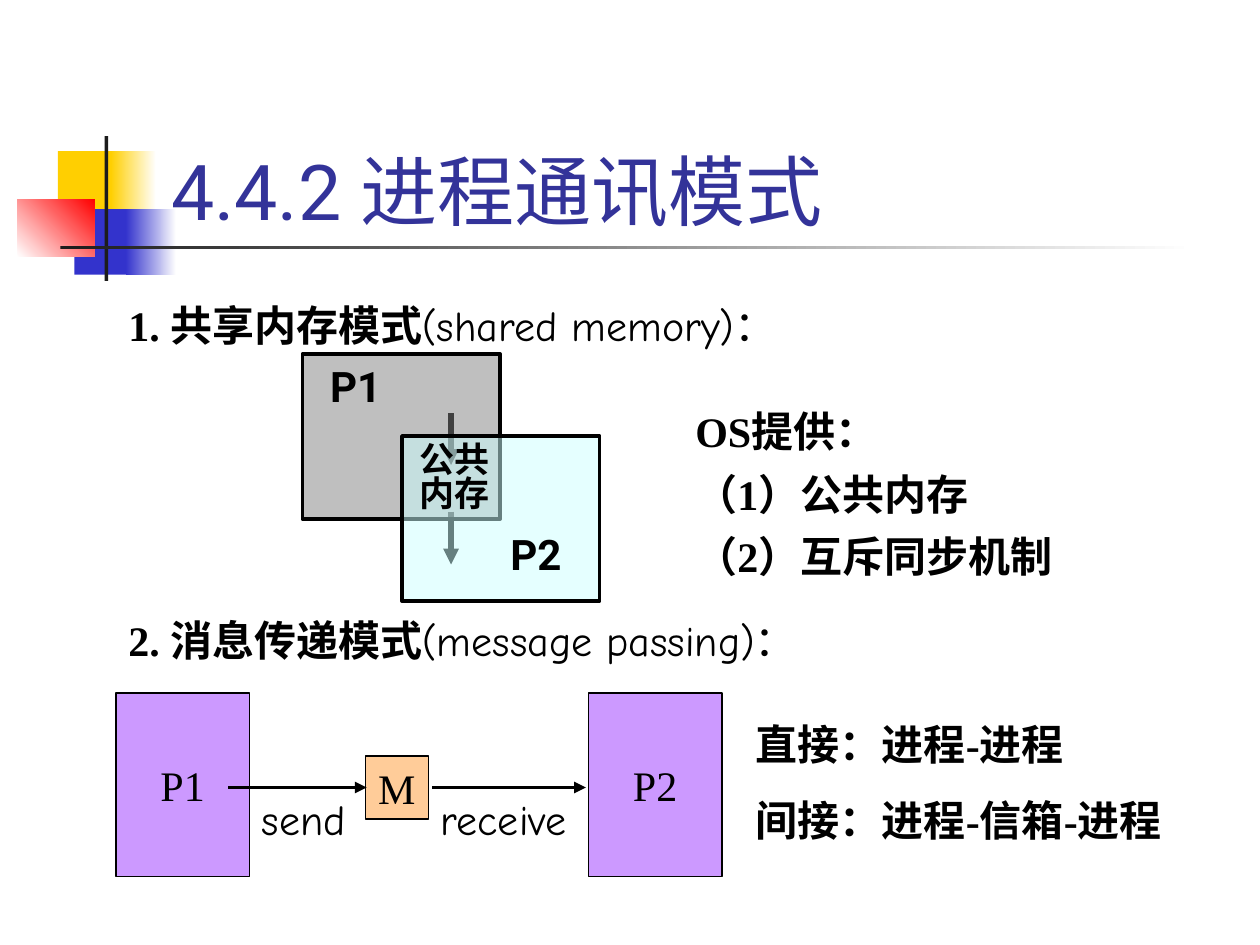
"""Build the slide on process communication modes."""
from lxml.etree import SubElement
from pptx import Presentation
from pptx.dml.color import RGBColor
from pptx.enum.shapes import MSO_CONNECTOR as Connector, MSO_SHAPE as Shape
from pptx.enum.text import MSO_ANCHOR as Anchor, MSO_AUTO_SIZE as AutoSize, PP_ALIGN as Align
from pptx.oxml.ns import qn
from pptx.util import Inches, Pt

BLACK = RGBColor(0x00, 0x00, 0x00)
WHITE = RGBColor(0xFF, 0xFF, 0xFF)
CHARCOAL = RGBColor(0x1C, 0x1C, 0x1C)
YELLOW = RGBColor(0xFF, 0xCF, 0x01)
BLUE = RGBColor(0x33, 0x33, 0xCC)
RED = RGBColor(0xFF, 0x00, 0x00)
INDIGO = RGBColor(0x33, 0x33, 0x99)
PURPLE = RGBColor(0xCC, 0x99, 0xFF)
PEACH = RGBColor(0xFF, 0xCC, 0x99)
GRAY = RGBColor(0x80, 0x80, 0x80)
CYAN = RGBColor(0xCC, 0xFF, 0xFF)

SERIF, SANS, COMIC = "Times New Roman", "Roboto", "Comic Neue"
BODY = {"name": SERIF, "size": Pt(24), "bold": True}
PLAIN = {"name": SERIF, "size": Pt(24), "bold": False}
NOTE = {"name": COMIC, "size": Pt(24), "bold": False}
LABEL = {"name": SANS, "size": Pt(24), "bold": True}
SMALL = {"name": SANS, "size": Pt(20), "bold": True}
HEADING = {"name": SANS, "size": Pt(44), "bold": False}

DECORATION = [
    ((0.46, 1.2, 0.48, 0.52), (YELLOW,), 0),
    ((0.88, 1.2, 0.36, 0.52), (YELLOW, WHITE), 0),
    ((0.59, 1.66, 0.46, 0.52), (BLUE,), 0),
    ((1, 1.66, 0.4, 0.52), (BLUE, WHITE), 0),
    ((0.14, 1.58, 0.61, 0.46), (WHITE, RED), 45),
    ((0.83, 1.08, 0.03, 1.15), (CHARCOAL,), 0),
    ((0.48, 1.95, 9, 0.03), (CHARCOAL, WHITE), 0),
]
TITLE = ((1.26, 0.67, 8.52, 1.25), [[("4.4.2 进程通讯模式", HEADING)]])
TEXTS = [
    ((0.92, 2.33, 8.25, 0.5), [[("1. 共享内存模式", BODY), ("(shared memory)：", NOTE)]], 1),
    ((0.92, 4.83, 8.08, 0.5), [[("2. 消息传递模式", BODY), ("(message passing)：", NOTE)]], 1),
    ((5.42, 3.17, 3.5, 1.48),
     [[("OS提供：", BODY)], [("（1）公共内存", BODY)], [("（2）互斥同步机制", BODY)]], 0.7),
    ((1.98, 6.25, 0.92, 0.5), [[("send", NOTE)]], 1),
    ((3.4, 6.25, 1.42, 0.5), [[("receive", NOTE)]], 1),
    ((5.9, 5.65, 3.58, 1.51), [[("直接：进程-进程", BODY)], [("间接：进程-信箱-进程", BODY)]], 1),
]
NODES = [
    ("P1", (0.92, 5.5, 1.06, 1.46), PURPLE),
    ("P2", (4.67, 5.5, 1.06, 1.46), PURPLE),
    ("M", (2.9, 6, 0.5, 0.5), PEACH),
]
MEMORY_ARROWS = [(3.58, 3.28, 3.58, 3.69), (3.58, 4.06, 3.58, 4.48)]
MESSAGE_ARROWS = [(1.81, 6.25, 2.91, 6.25), (3.43, 6.25, 4.65, 6.25)]
MEMORIES = [((2.4, 2.81, 1.57, 1.31), GRAY), ((3.19, 3.46, 1.57, 1.31), CYAN)]
MEMORY_LABELS = [
    ((2.62, 2.94, 0.5, 0.32), [[("P1", LABEL)]]),
    ((4.05, 4.27, 0.5, 0.32), [[("P2", LABEL)]]),
    ((3.33, 3.54, 0.57, 0.53), [[("公共内存", SMALL)]]),
]


def apply(target, values):
    for name, value in values.items():
        setattr(target, name, value)


def write(frame, paragraphs, later={}, color=BLACK, **every):
    for index, spans in enumerate(paragraphs):
        para = frame.paragraphs[0] if index == 0 else frame.add_paragraph()
        apply(para, {**every, **(later if index else {})})
        for text, style in spans:
            span = para.add_run()
            span.text = text
            apply(span.font, style)
            span.font.color.rgb = color


def add_text(page, place, paragraphs, margins=(0.1, 0.05), fit=AutoSize.SHAPE_TO_FIT_TEXT,
             anchor=Anchor.TOP, **style):
    frame = page.shapes.add_textbox(*map(Inches, place)).text_frame
    side, end = map(Inches, margins)
    apply(frame, {"word_wrap": True, "auto_size": fit, "vertical_anchor": anchor,
                  "margin_left": side, "margin_right": side,
                  "margin_top": end, "margin_bottom": end})
    write(frame, paragraphs, **style)


def add_box(page, place, colors, angle=0, border=None, opacity=None):
    box = page.shapes.add_shape(Shape.RECTANGLE, *map(Inches, place))
    box.shadow.inherit = False
    if len(colors) > 1:
        box.fill.gradient()
        box.fill.gradient_angle = angle
        for stop, color in zip(box.fill.gradient_stops, colors):
            stop.color.rgb = color
    else:
        box.fill.solid()
        box.fill.fore_color.rgb = colors[0]
    if opacity:
        tone = box.element.spPr.find(qn("a:solidFill")).find(qn("a:srgbClr"))
        SubElement(tone, qn("a:alpha"), val=str(opacity * 1000))
    if border:
        box.line.color.rgb = BLACK
        box.line.width = Pt(border)
    else:
        box.line.fill.background()
    return box


def add_arrow(page, ends, width):
    arrow = page.shapes.add_connector(Connector.STRAIGHT, *map(Inches, ends))
    arrow.line.color.rgb = BLACK
    arrow.line.width = Pt(width)
    SubElement(arrow.line._get_or_add_ln(), qn("a:tailEnd"), type="triangle")
    SubElement(arrow.element.spPr, qn("a:effectLst"))


def main():
    deck = Presentation()
    deck.slide_width, deck.slide_height = Inches(10), Inches(7.5)
    page = deck.slides.add_slide(deck.slide_layouts[6])

    for place, colors, angle in DECORATION:
        add_box(page, place, colors, angle)
    add_text(page, *TITLE, fit=AutoSize.NONE, anchor=Anchor.BOTTOM, color=INDIGO)
    for ends in MEMORY_ARROWS:
        add_arrow(page, ends, 3)
    for name, place, color in NODES:
        node = add_box(page, place, (color,), border=0.75)
        apply(node.text_frame, {"word_wrap": False, "vertical_anchor": Anchor.MIDDLE})
        write(node.text_frame, [[(name, PLAIN)]], alignment=Align.CENTER)
    for ends in MESSAGE_ARROWS:
        add_arrow(page, ends, 2.25)
    for place, paragraphs, spacing in TEXTS:
        later = {"space_before": Pt(15), "line_spacing": spacing}
        add_text(page, place, paragraphs, later=later)
    for place, color in MEMORIES:
        add_box(page, place, (color,), border=2, opacity=50)
    for place, paragraphs in MEMORY_LABELS:
        add_text(page, place, paragraphs, margins=(0, 0), line_spacing=0.8)

    deck.save("out.pptx")


if __name__ == "__main__":
    main()
